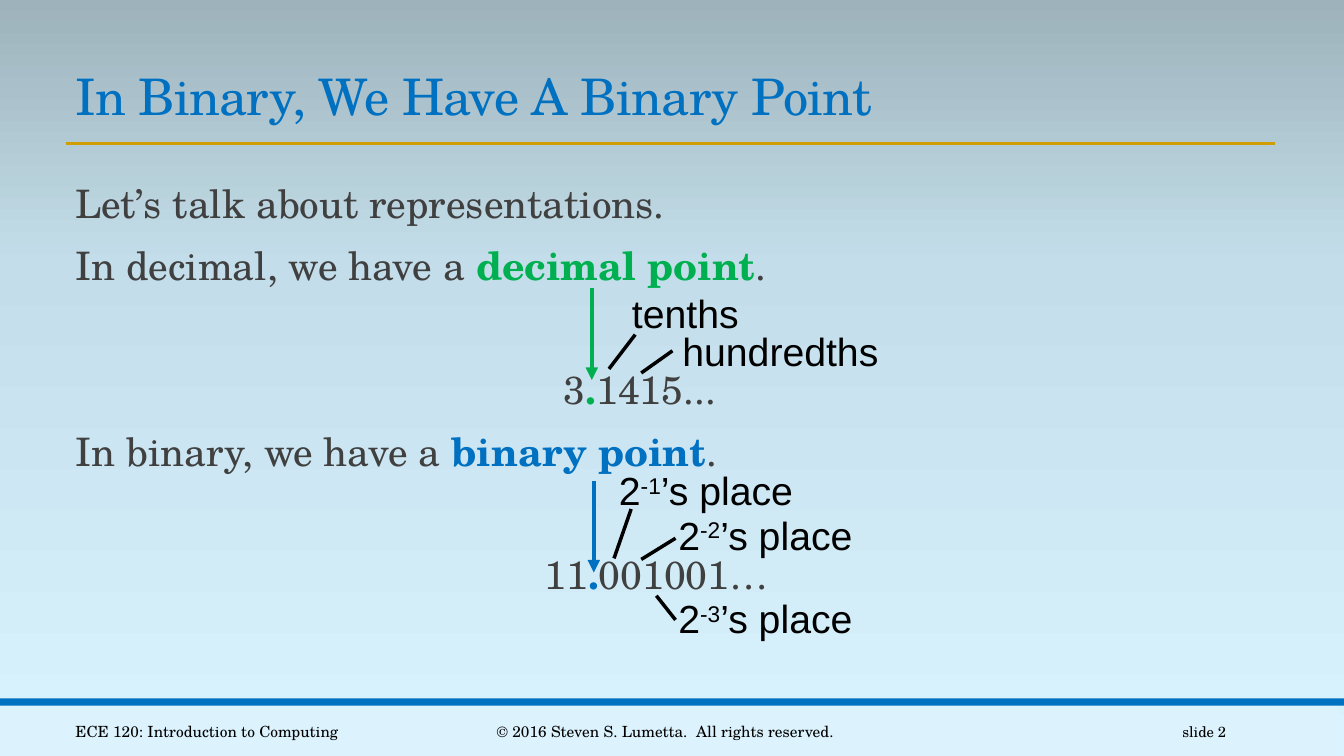
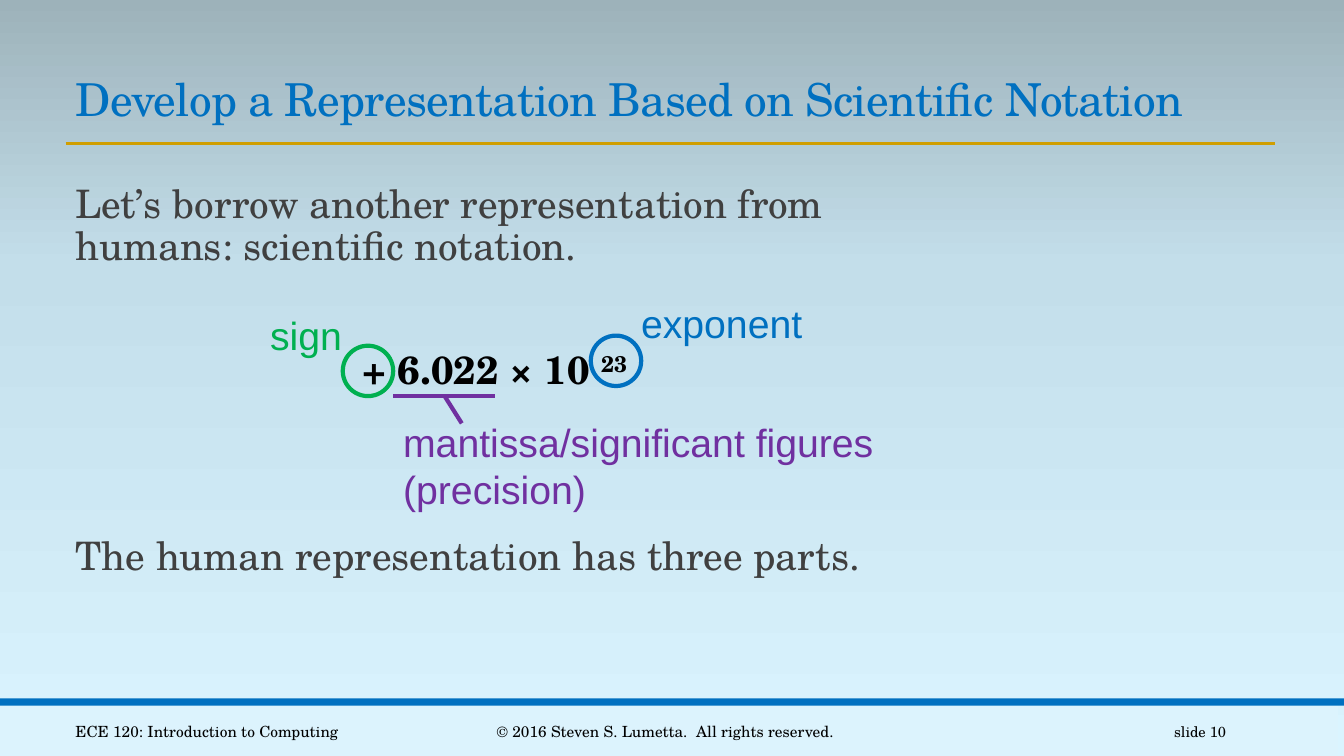
from copy import deepcopy
from dataclasses import dataclass

from lxml.etree import SubElement
from pptx import Presentation
from pptx.dml.color import RGBColor
from pptx.enum.shapes import MSO_CONNECTOR as Connector, MSO_SHAPE as Shape
from pptx.enum.text import MSO_ANCHOR as Anchor, PP_ALIGN as Align
from pptx.oxml.ns import qn
from pptx.util import Inches, Pt


@dataclass(frozen=True)
class Theme:
    serif: str = "TeX Gyre Schola"
    sans: str = "Arial"
    blue: str = "0070C0"
    green: str = "00B050"
    purple: str = "7030A0"
    gold: str = "D09E00"
    grey: str = "404040"
    black: str = "000000"
    footer_fill: str = "DCF3FD"
    backdrop: tuple = ((0, "DAF4FF"), (0.65, "C3DEEA"), (1, "9DB2BA"))
    title_size: float = 36
    body_size: float = 28
    footer_size: float = 11
    number_size: float = 10.5
    rule_width: float = 2
    leader_width: float = 2.5
    mark_width: float = 3


@dataclass(frozen=True)
class Span:
    text: str
    color: str = ""
    bold: bool = False
    raised: bool = False


@dataclass(frozen=True)
class Line:
    """A body paragraph: its spans, left indent in inches and gap above in points."""
    spans: tuple
    indent: float = 0.1
    before: float = 12
    align: Align = Align.LEFT


THEME = Theme()
LEFT = 0.65
FOOTER_TOP, FOOTER_HEIGHT = 7.06, 0.4
LABEL_LINE = 0.47


class Slides:
    def __init__(self, theme):
        self.theme = theme
        self.deck = Presentation()
        self.deck.slide_width, self.deck.slide_height = Inches(13.33), Inches(7.5)
        self.page = None
        self.paint_backdrop()

    def paint_backdrop(self):
        fill = self.deck.slide_master.background.fill
        fill.gradient()
        fill.gradient_angle = 90
        first = fill.gradient_stops[0]._gs
        first.addnext(deepcopy(first))
        for stop, (position, color) in zip(fill.gradient_stops, self.theme.backdrop):
            stop.position = position
            stop.color.rgb = RGBColor.from_string(color)

    def new_page(self, title, number, title_size=None):
        theme = self.theme
        self.page = self.deck.slides.add_slide(self.deck.slide_layouts[6])
        self.shape(Shape.RECTANGLE, -0.06, 7, 13.33, 0.5, fill=theme.footer_fill)
        self.shape(Shape.RECTANGLE, 0, 6.93, 13.33, 0.07, fill=theme.blue)
        self.line((LEFT, 1.42), (12.65, 1.42), theme.gold, theme.rule_width)
        self.title(title, title_size or theme.title_size)
        self.footer("ECE 120: Introduction to Computing", LEFT, 3.25, Align.LEFT)
        self.footer("© 2016 Steven S. Lumetta.  All rights reserved.", 4.03, 5.14, Align.CENTER)
        self.footer(f"slide {number}", 10.83, 1.43, Align.RIGHT, theme.number_size)

    def frame(self, left, top, width, height, anchor=Anchor.TOP, wrap=True):
        box = self.page.shapes.add_textbox(*map(Inches, (left, top, width, height)))
        frame = box.text_frame
        frame.word_wrap = wrap
        frame.vertical_anchor = anchor
        return frame

    def add_spans(self, para, spans, font, size, color):
        para.font.name, para.font.size = font, Pt(size)
        para.font.color.rgb = RGBColor.from_string(color)
        for span in spans:
            run = para.add_run()
            run.text = span.text
            if span.color:
                run.font.color.rgb = RGBColor.from_string(span.color)
            if span.bold:
                run.font.bold = True
            if span.raised:
                run._r.get_or_add_rPr().set("baseline", "30000")

    def title(self, text, size):
        para = self.frame(LEFT, 0.59, 12.01, 0.71, Anchor.BOTTOM).paragraphs[0]
        para.line_spacing = 0.85
        self.add_spans(para, [Span(text)], self.theme.serif, size, self.theme.blue)
        para.runs[0]._r.get_or_add_rPr().set("spc", "-50")

    def footer(self, text, left, width, align, size=None):
        theme = self.theme
        frame = self.frame(left, FOOTER_TOP, width, FOOTER_HEIGHT, Anchor.MIDDLE)
        para = frame.paragraphs[0]
        para.alignment = align
        self.add_spans(para, [Span(text)], theme.serif, size or theme.footer_size, theme.black)

    def body(self, *lines):
        theme = self.theme
        frame = self.frame(LEFT, 1.78, 8.52, 4.64)
        frame.margin_left = frame.margin_right = 0
        for index, line in enumerate(lines):
            para = frame.add_paragraph() if index else frame.paragraphs[0]
            para.alignment = line.align
            para.line_spacing = 0.9
            para.space_before, para.space_after = Pt(line.before), Pt(2)
            para._p.get_or_add_pPr().set("marL", str(Inches(line.indent)))
            self.add_spans(para, line.spans, theme.serif, theme.body_size, theme.grey)

    def label(self, left, top, width, *lines, color=THEME.black):
        """Place a callout; each line is a sequence of spans."""
        frame = self.frame(left, top, width, 0.1 + LABEL_LINE * len(lines), wrap=False)
        for index, spans in enumerate(lines):
            para = frame.add_paragraph() if index else frame.paragraphs[0]
            self.add_spans(para, spans, self.theme.sans, self.theme.body_size, color)

    def shape(self, kind, left, top, width, height, fill=None, outline=None):
        shape = self.page.shapes.add_shape(kind, *map(Inches, (left, top, width, height)))
        shape.shadow.inherit = False
        if fill:
            shape.fill.solid()
            shape.fill.fore_color.rgb = RGBColor.from_string(fill)
        else:
            shape.fill.background()
        if outline:
            shape.line.color.rgb = RGBColor.from_string(outline)
            shape.line.width = Pt(self.theme.mark_width)
        else:
            shape.line.fill.background()

    def ring(self, left, top, color):
        self.shape(Shape.OVAL, left, top, 0.5, 0.5, outline=color)

    def line(self, start, end, color, width, arrow=False):
        line = self.page.shapes.add_connector(
            Connector.STRAIGHT, *map(Inches, (*start, *end)))
        line.line.color.rgb = RGBColor.from_string(color)
        line.line.width = Pt(width)
        if arrow:
            SubElement(line.line._get_or_add_ln(), qn("a:tailEnd"), type="triangle")
        SubElement(line._element.spPr, qn("a:effectLst"))

    def leader(self, start, end):
        self.line(start, end, self.theme.black, self.theme.leader_width)


def binary_point(slides):
    theme = slides.theme
    slides.new_page("In Binary, We Have A Binary Point", 2)

    def sentence(base, color):
        return Line((Span(f"In {base}, we have a "),
                     Span(f"{base} point", color, bold=True), Span(".")))

    def example(whole, fraction, color, indent):
        return Line((Span(whole), Span(".", color, bold=True), Span(fraction)),
                    indent, before=56.24)

    slides.body(
        Line((Span("Let’s talk about representations."),)),
        sentence("decimal", theme.green),
        example("3", "1415...", theme.green, 4.94),
        sentence("binary", theme.blue),
        example("11", "001001…", theme.blue, 4.75),
    )
    for x, top, color in ((5.87, 2.86, theme.green), (5.89, 4.77, theme.blue)):
        slides.line((x, top), (x, top + 0.91), color, theme.mark_width, arrow=True)
    slides.label(6.17, 2.82, 1.27, [Span("tenths")])
    slides.label(6.67, 3.2, 2.17, [Span("hundredths")])
    for power, left, top in ((-1, 6.04, 4.58), (-2, 6.63, 5.02), (-3, 6.63, 5.85)):
        slides.label(left, top, 1.98,
                     [Span("2"), Span(str(power), raised=True), Span("’s place")])
    for start, end in (
        ((6.04, 3.66), (6.3, 3.32)),
        ((6.36, 3.7), (6.67, 3.48)),
        ((6.09, 5.54), (6.26, 5.05)),
        ((6.36, 5.55), (6.7, 5.34)),
        ((6.7, 6.15), (6.51, 5.91)),
    ):
        slides.leader(start, end)


def scientific_notation(slides):
    theme = slides.theme
    slides.new_page("Develop a Representation Based on Scientific Notation", 10, 32.4)
    slides.body(
        Line((Span("Let’s borrow another representation from humans: scientific notation."),)),
        Line((Span("+ 6.022 × 10 ", theme.black, bold=True),
              Span("23", theme.black, bold=True, raised=True)),
             indent=0, before=56.24, align=Align.CENTER),
        Line((Span("The human representation has three parts."),), before=100.48),
    )
    slides.ring(3.4, 3.43, theme.green)
    slides.label(2.58, 3.04, 0.92, [Span("sign")], color=theme.green)
    slides.line((3.9, 3.93), (4.91, 3.93), theme.purple, theme.mark_width)
    slides.line((4.41, 3.93), (4.58, 4.2), theme.purple, theme.mark_width)
    slides.label(3.9, 4.1, 4.92, [Span("mantissa/significant figures")],
                 [Span("(precision)")], color=theme.purple)
    slides.ring(5.86, 3.33, theme.blue)
    slides.label(6.26, 2.92, 1.82, [Span("exponent")], color=theme.blue)


def main():
    slides = Slides(THEME)
    binary_point(slides)
    scientific_notation(slides)
    slides.deck.save("out.pptx")


if __name__ == "__main__":
    main()
